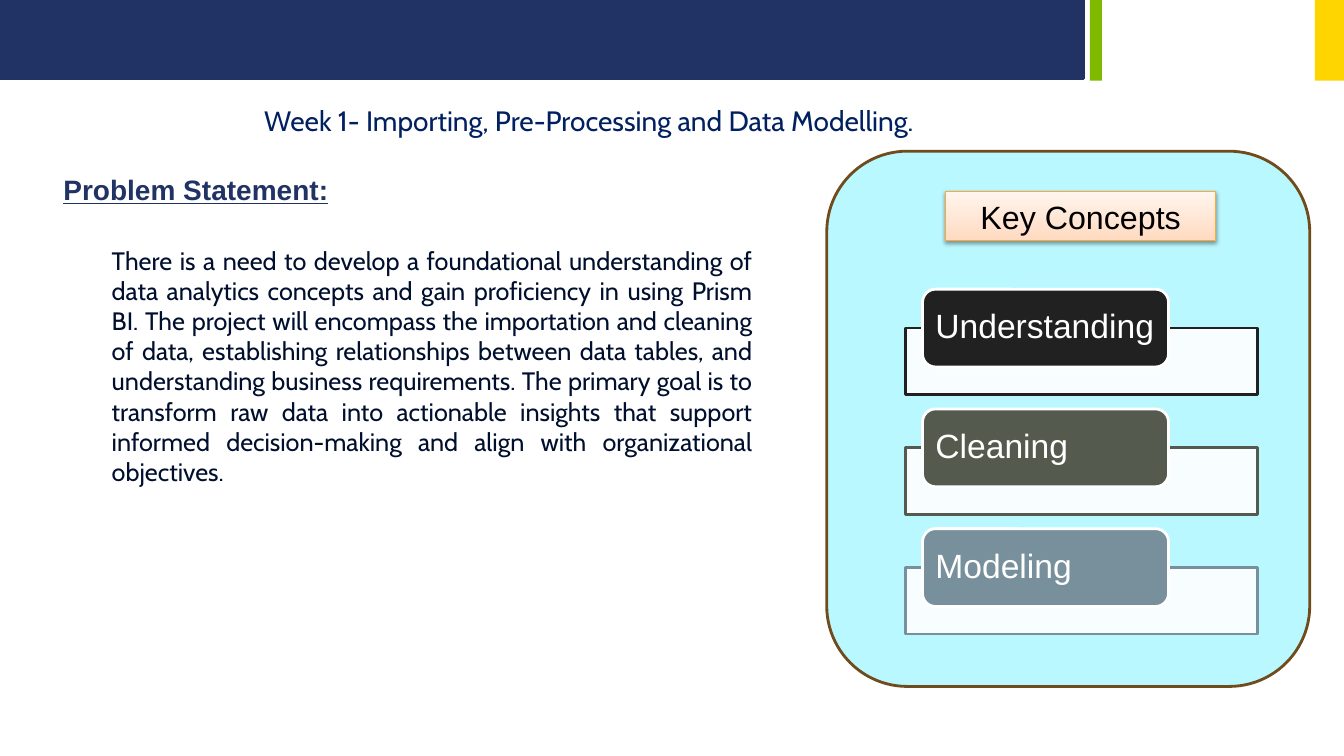
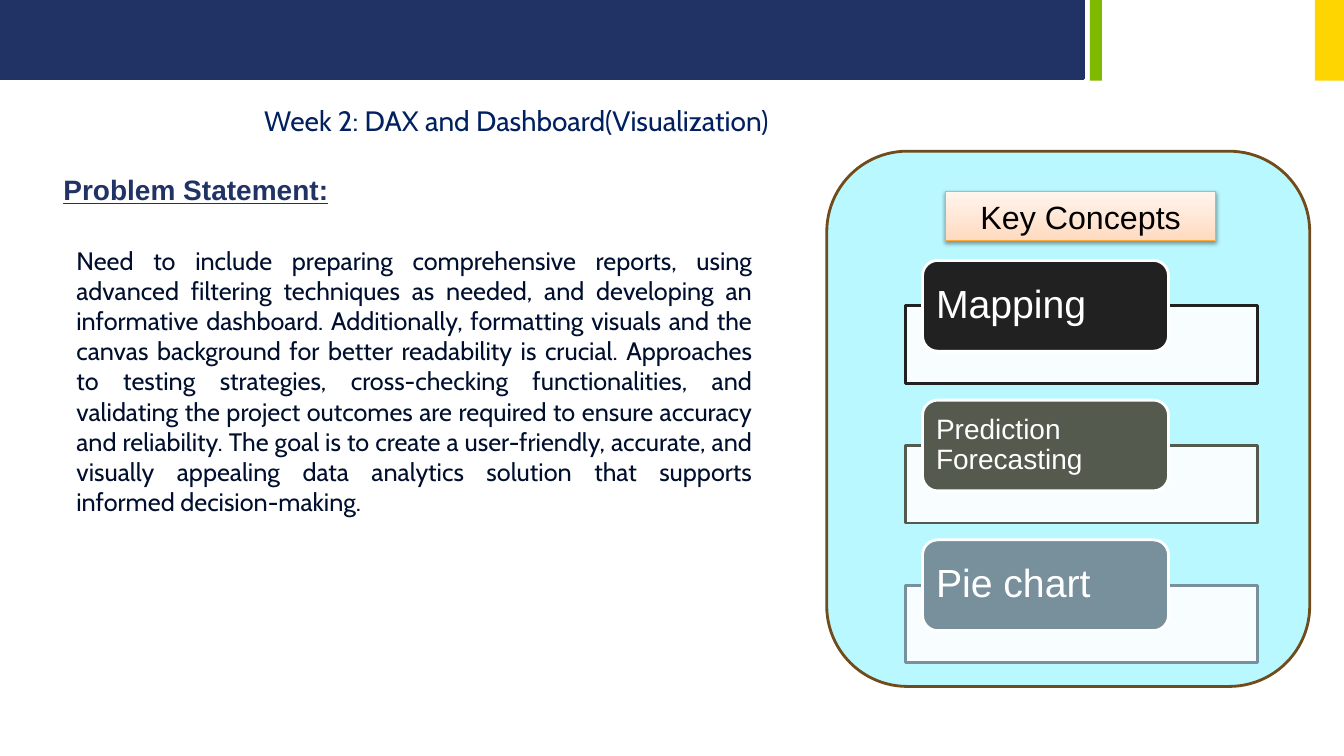
from lxml.etree import SubElement
from pptx import Presentation
from pptx.dml.color import RGBColor
from pptx.enum.shapes import MSO_SHAPE
from pptx.enum.text import MSO_ANCHOR, MSO_AUTO_SIZE, PP_ALIGN
from pptx.oxml.ns import qn
from pptx.util import Inches, Pt

NAVY = RGBColor(0x21, 0x32, 0x64)
TITLE_BLUE = RGBColor(0x00, 0x20, 0x60)
BODY_BLUE = RGBColor(0x00, 0x0F, 0x2E)
GREEN = RGBColor(0x7F, 0xBA, 0x00)
YELLOW = RGBColor(0xFE, 0xD5, 0x00)
AQUA = RGBColor(0xBA, 0xF8, 0xFF)
BROWN = RGBColor(0x70, 0x4B, 0x1C)
ORANGE = RGBColor(0xFE, 0xA8, 0x3A)
PEACH = RGBColor(0xFF, 0xDA, 0xC0)
PALE_PEACH = RGBColor(0xFF, 0xF5, 0xEE)
WHITE = RGBColor(0xFF, 0xFF, 0xFF)
BLACK = RGBColor(0x00, 0x00, 0x00)
CONCEPT_COLORS = (
    RGBColor(0x21, 0x21, 0x21),
    RGBColor(0x54, 0x5B, 0x4E),
    RGBColor(0x78, 0x90, 0x9C),
)

TITLE_FONT = {"name": "Cabin", "size": Pt(20), "color": TITLE_BLUE}
HEADING_FONT = {"name": "Arial", "size": Pt(20), "color": NAVY, "bold": True, "underline": True}
BODY_FONT = {"name": "Cabin", "size": Pt(18), "color": BODY_BLUE}
BADGE_FONT = {"name": "Arial", "size": Pt(23), "color": BLACK}

BODY_RIGHT = 7.56
STACK_CENTER = 4.58

WEEKS = (
    {
        "title": "Week 1- Importing, Pre-Processing and Data Modelling.",
        "problem": (
            "There is a need to develop a foundational understanding of data analytics "
            "concepts and gain proficiency in using Prism BI. The project will encompass "
            "the importation and cleaning of data, establishing relationships between data "
            "tables, and understanding business requirements. The primary goal is to "
            "transform raw data into actionable insights that support informed "
            "decision-making and align with organizational objectives."
        ),
        "body_left": 1.01,
        "frame_height": 0.66,
        "concepts": (("Understanding", 24), ("Cleaning", 24), ("Modeling", 24)),
    },
    {
        "title": "Week 2: DAX and Dashboard(Visualization)",
        "problem": (
            "Need to include preparing comprehensive reports, using advanced filtering "
            "techniques as needed, and developing an informative dashboard. Additionally, "
            "formatting visuals and the canvas background for better readability is "
            "crucial. Approaches to testing strategies, cross-checking functionalities, and "
            "validating the project outcomes are required to ensure accuracy and "
            "reliability. The goal is to create a user-friendly, accurate, and visually "
            "appealing data analytics solution that supports informed decision-making."
        ),
        "body_left": 0.66,
        "frame_height": 0.77,
        "concepts": (("Mapping", 28), ("Prediction Forecasting", 20), ("Pie chart", 28)),
    },
)


def write(shape, text, font, align=PP_ALIGN.LEFT, anchor=MSO_ANCHOR.TOP):
    frame = shape.text_frame
    frame.word_wrap = True
    frame.auto_size = MSO_AUTO_SIZE.NONE
    frame.vertical_anchor = anchor
    para = frame.paragraphs[0]
    para.alignment = align
    span = para.add_run()
    span.text = text
    for name, value in font.items():
        if name == "color":
            span.font.color.rgb = value
        else:
            setattr(span.font, name, value)
    return para


def add_text(slide, text, left, top, width, height, font, align=PP_ALIGN.LEFT):
    box = slide.shapes.add_textbox(Inches(left), Inches(top), Inches(width), Inches(height))
    write(box, text, font, align)


def add_block(slide, kind, left, top, width, height, fill, line=None, line_width=2):
    block = slide.shapes.add_shape(
        kind, Inches(left), Inches(top), Inches(width), Inches(height)
    )
    block.shadow.inherit = False
    block.fill.solid()
    block.fill.fore_color.rgb = fill
    if line is None:
        block.line.fill.background()
    else:
        block.line.color.rgb = line
        block.line.width = Pt(line_width)
    return block


def add_bands(layout, slide):
    """Draw the top bands and move them to the layout, behind its placeholders."""
    bands = (
        add_block(slide, MSO_SHAPE.RECTANGLE, 0, 0, 10.75, 0.78, NAVY, NAVY),
        add_block(slide, MSO_SHAPE.RECTANGLE, 10.81, 0, 0.12, 0.8, GREEN),
        add_block(slide, MSO_SHAPE.RECTANGLE, 13.04, 0, 0.29, 0.8, YELLOW),
    )
    tree = layout.shapes.element
    for index, band in enumerate(bands):
        band.element.nvSpPr.cNvPr.id = 100 + index
        tree.insert(2 + index, band.element)


def add_title(slide, text):
    title = slide.shapes.title
    place = {"left": 2.52, "top": 0.98, "width": 7.28, "height": 0.44}
    for name, value in place.items():
        setattr(title, name, Inches(value))
    write(title, text, TITLE_FONT)


def add_badge(slide):
    """Add the shaded and shadowed heading of the concept card."""
    badge = add_block(slide, MSO_SHAPE.RECTANGLE, 9.38, 1.9, 2.68, 0.49, PEACH, ORANGE, 0.75)
    badge.fill.gradient()
    badge.fill.gradient_angle = 90
    for stop, color in zip(badge.fill.gradient_stops, (PEACH, PALE_PEACH)):
        stop.color.rgb = color
    effects = badge.element.spPr.find(qn("a:effectLst"))
    shadow = SubElement(
        effects, qn("a:outerShdw"), blurRad=str(Pt(3.1)), dist=str(Pt(1.6)),
        dir="5400000", rotWithShape="0",
    )
    color = SubElement(shadow, qn("a:srgbClr"), val=str(BLACK))
    SubElement(color, qn("a:alpha"), val="38000")
    write(badge, "Key Concepts", BADGE_FONT, PP_ALIGN.CENTER, MSO_ANCHOR.MIDDLE)


def add_concept(slide, text, size, color, top, frame_height, label_height):
    """Add a label that overlaps the top edge of an almost opaque frame."""
    frame = add_block(
        slide, MSO_SHAPE.RECTANGLE, 8.98, top + label_height / 2, 3.49, frame_height,
        WHITE, color,
    )
    fill_color = frame.element.spPr.find(qn("a:solidFill"))[0]
    SubElement(fill_color, qn("a:alpha"), val="90000")

    label = add_block(
        slide, MSO_SHAPE.ROUNDED_RECTANGLE, 9.15, top, 2.44, label_height, color, WHITE
    )
    margins = {"margin_left": 0.09, "margin_top": 0, "margin_right": 0.05, "margin_bottom": 0}
    for name, value in margins.items():
        setattr(label.text_frame, name, Inches(value))
    font = {"name": "Arial", "size": Pt(size), "color": WHITE}
    para = write(label, text, font, anchor=MSO_ANCHOR.MIDDLE)
    para.line_spacing = 0.9


def add_concepts(slide, concepts, frame_height):
    """Stack the concepts evenly around the middle of the card."""
    label_height = 1.17 * frame_height
    pitch = 1.8 * frame_height
    stack_height = (len(concepts) - 1) * pitch + label_height / 2 + frame_height
    top = STACK_CENTER - stack_height / 2
    for index, ((text, size), color) in enumerate(zip(concepts, CONCEPT_COLORS)):
        add_concept(slide, text, size, color, top + index * pitch, frame_height, label_height)


def add_week(slide, week):
    add_block(slide, MSO_SHAPE.ROUNDED_RECTANGLE, 8.2, 1.5, 4.79, 5.31, AQUA, BROWN)
    add_title(slide, week["title"])
    add_text(slide, "Problem Statement:", 0.53, 1.66, 6.67, 0.44, HEADING_FONT)
    left = week["body_left"]
    add_text(
        slide, week["problem"], left, 2.38, BODY_RIGHT - left, 3.13, BODY_FONT,
        PP_ALIGN.JUSTIFY,
    )
    add_concepts(slide, week["concepts"], week["frame_height"])
    add_badge(slide)


def main():
    deck = Presentation()
    deck.slide_width = Inches(13.33)
    deck.slide_height = Inches(7.5)
    layout = deck.slide_layouts.get_by_name("Title Only")
    pages = [deck.slides.add_slide(layout) for _ in WEEKS]
    add_bands(layout, pages[0])
    for page, week in zip(pages, WEEKS):
        add_week(page, week)
    deck.save("out.pptx")


if __name__ == "__main__":
    main()
